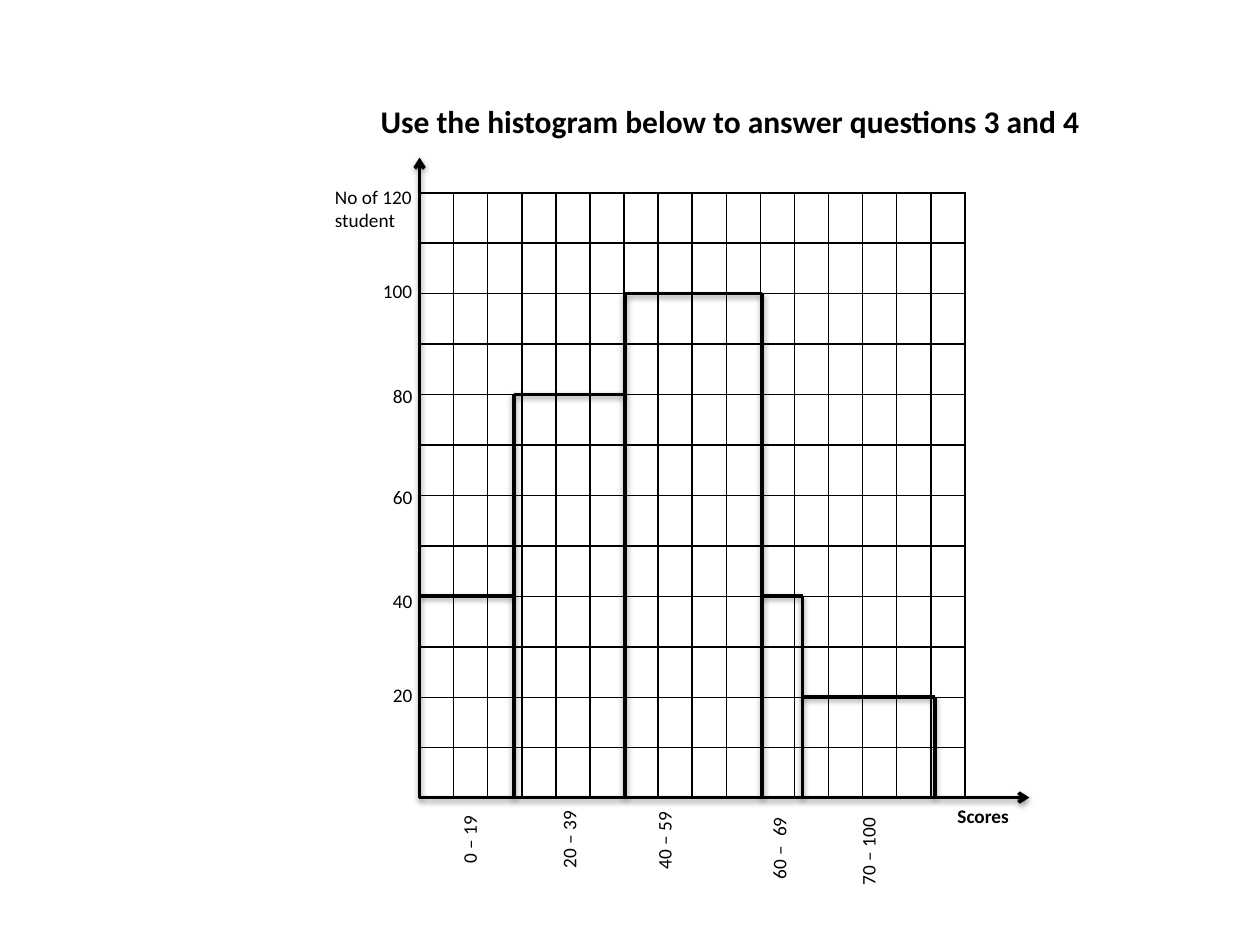
"""Build a slide with a histogram of student scores on a 100 by 75 slide grid."""
import pptx
import pptx.dml.color
import pptx.enum.shapes
import pptx.enum.text
import pptx.oxml
import pptx.oxml.ns
import pptx.util

INK = "000000"
FONT = "Calibri"
SCORES = [("0 – 19", 40), ("20 – 39", 80), ("40 – 59", 100), ("60 –  69", 40), ("70 – 100", 20)]
EDGES = [0, 7.5, 16.3, 27.2, 30.4, 40.9]
SCORE_LABELS = [(3.98, 2.35, 6.2), (11.88, 2.35, 7), (19.43, 2.25, 7.3), (28.53, 3.05, 7.3), (35.63, 3.15, 8.1)]
STUDENT_TICKS = [(100, 23.15), (80, 31.45), (60, 39.45), (40, 47.75), (20, 55.15)]
PER_STUDENT = 0.4


def grid(n):
    """Turn slide grid units, each a hundredth of the width, into a length."""
    return pptx.util.Inches(n / 10)


def color(value):
    """Turn a hex string into a colour."""
    return pptx.dml.color.RGBColor.from_string(value)


def write(sp, lines, size=11, bold=False):
    """Fill a text shape with one left-aligned paragraph per line."""
    tf = sp.text_frame
    tf.word_wrap = False
    tf.auto_size = pptx.enum.text.MSO_AUTO_SIZE.SHAPE_TO_FIT_TEXT
    tf.vertical_anchor = pptx.enum.text.MSO_ANCHOR.TOP
    for i, line in enumerate(lines):
        p = tf.add_paragraph() if i else tf.paragraphs[0]
        p.alignment = pptx.enum.text.PP_ALIGN.LEFT
        r = p.add_run()
        r.text = line
        r.font.name = FONT
        r.font.size = pptx.util.Pt(size)
        r.font.bold = bold
        r.font.color.rgb = color(INK)


def add_label(s, box, *lines, bold=False, rotation=0):
    """Add a text box with the given lines."""
    sp = s.shapes.add_textbox(*map(grid, box))
    write(sp, lines, bold=bold)
    sp.rotation = rotation


def add_line(s, x1, y1, x2, y2, arrow=False):
    """Add a heavy shadowed line, with an arrowhead at its end if asked."""
    sp = s.shapes.add_connector(pptx.enum.shapes.MSO_CONNECTOR.STRAIGHT, *map(grid, (x1, y1, x2, y2)))
    sp.line.color.rgb = color(INK)
    sp.line.width = pptx.util.Pt(2)
    ns = pptx.oxml.ns.nsdecls("a")
    if arrow:
        sp.line._get_or_add_ln().append(pptx.oxml.parse_xml(f'<a:tailEnd {ns} type="arrow"/>'))
    sp._element.spPr.append(pptx.oxml.parse_xml(
        f'<a:effectLst {ns}><a:outerShdw blurRad="40000" dist="20000" dir="5400000" rotWithShape="0">'
        f'<a:srgbClr val="{INK}"><a:alpha val="38000"/></a:srgbClr></a:outerShdw></a:effectLst>'))


def add_title(s, box):
    """Place the instruction in the title placeholder."""
    sp = s.shapes.title
    sp.left, sp.top, sp.width, sp.height = map(grid, box)
    write(sp, ["Use the histogram below to answer questions 3 and 4"], size=18, bold=True)


def add_squares(s, box, rows=12, cols=16):
    """Draw the squared background as an empty bordered table."""
    table = s.shapes.add_table(rows, cols, *map(grid, box)).table
    table.first_row = table.horz_banding = False
    ns = pptx.oxml.ns.nsdecls("a")
    for cell in table.iter_cells():
        cell.fill.background()
        tcPr = cell._tc.get_or_add_tcPr()
        for i, side in enumerate("LRTB"):
            tcPr.insert(i, pptx.oxml.parse_xml(
                f'<a:ln{side} {ns} w="12700"><a:solidFill><a:srgbClr val="{INK}"/></a:solidFill></a:ln{side}>'))


def add_axes(s, box):
    """Draw both axes with their names and tick labels."""
    x, y, w, h = box
    base = y + h
    add_label(s, (x - 7.7, y + 1.7, 8.5, 4.7), "No of 120", "student")
    for value, middle in STUDENT_TICKS:
        width = 2.3 + 0.8 * len(str(value))
        add_label(s, (x + 0.8 - width, middle - 1.45, width, 2.9), str(value))
    for (name, _), (dx, dy, width) in zip(SCORES, SCORE_LABELS):
        add_label(s, (x + dx - width / 2, base + dy - 0.7, width, 2.9), name, rotation=270)
    add_label(s, (x + 41.7, base, 6.2, 2.9), "Scores", bold=True)
    add_line(s, x, base, x, y, arrow=True)
    add_line(s, x, base, x + w, base, arrow=True)


def add_bars(s, box):
    """Outline the bars, with one shared upright between neighbours."""
    x, y, w, h = box
    base = y + h
    counts = [count for _, count in SCORES]
    for left, right, count, following in zip(EDGES, EDGES[1:], counts, counts[1:] + [0]):
        top = base - count * PER_STUDENT
        add_line(s, x + left, top, x + right, top)
        add_line(s, x + right, base - max(count, following) * PER_STUDENT, x + right, base)


def main():
    """Build and save the slide."""
    prs = pptx.Presentation()
    prs.slide_width, prs.slide_height = grid(100), grid(75)
    s = prs.slides.add_slide(prs.slide_layouts[5])
    plot = (33.3, 12.5, 48.4, 50.8)
    add_title(s, (29.2, 7.6, 58, 4))
    add_squares(s, (33.3, 15.3, 43.3, 48))
    add_axes(s, plot)
    add_bars(s, plot)
    prs.save("out.pptx")


if __name__ == "__main__":
    main()
